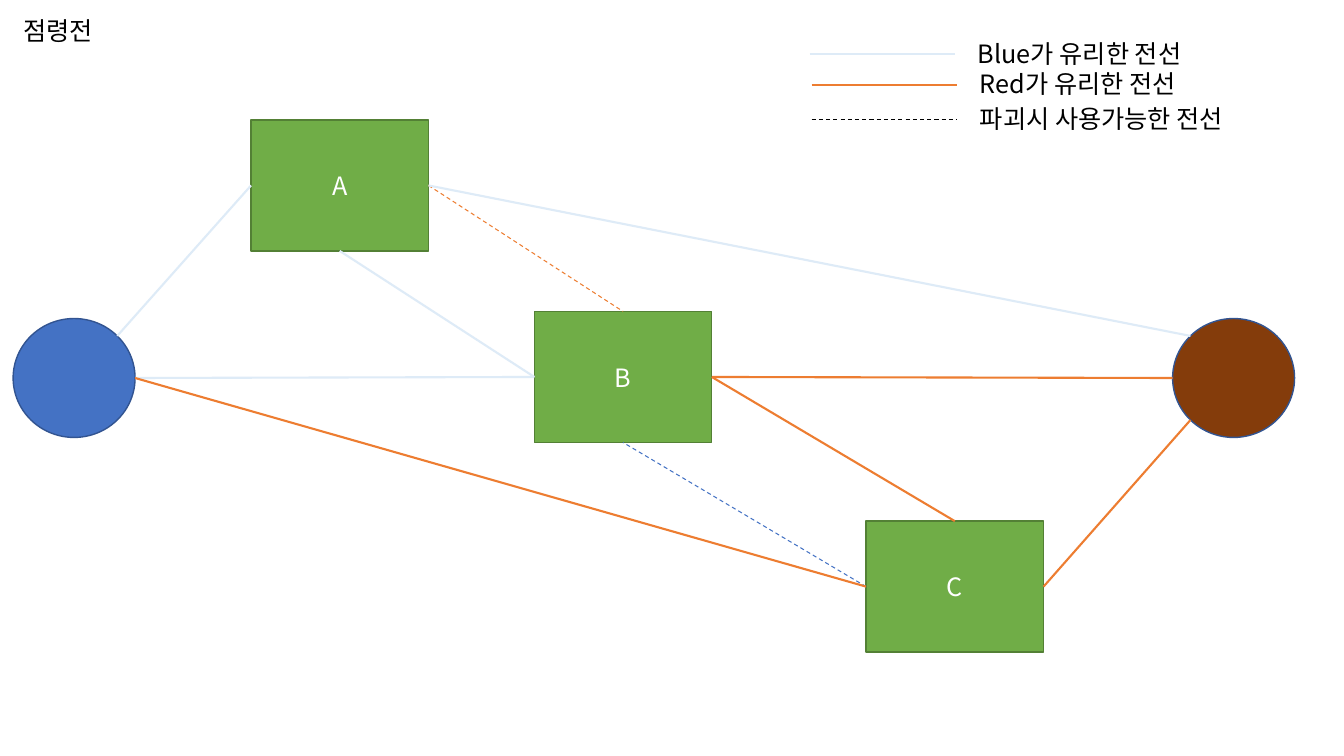
import math

import pptx
import pptx.dml.color
import pptx.enum.dml
import pptx.enum.shapes
import pptx.enum.text
import pptx.oxml
import pptx.oxml.ns
import pptx.util

Inches = pptx.util.Inches
RGBColor = pptx.dml.color.RGBColor
Shape = pptx.enum.shapes.MSO_SHAPE
Anchor = pptx.enum.text.MSO_ANCHOR
Align = pptx.enum.text.PP_ALIGN

BLUE = RGBColor(0x44, 0x72, 0xC4)
BLUE_EDGE = RGBColor(0x32, 0x54, 0x91)
BROWN = RGBColor(0x84, 0x3C, 0x0B)
GREEN = RGBColor(0x70, 0xAD, 0x47)
GREEN_EDGE = RGBColor(0x53, 0x80, 0x35)
PALE_BLUE = RGBColor(0xDE, 0xEB, 0xF7)
ORANGE = RGBColor(0xED, 0x7D, 0x31)
BLACK = RGBColor(0, 0, 0)
WHITE = RGBColor(0xFF, 0xFF, 0xFF)

FONT = "Noto Sans CJK KR"
BASE_SIZE = (1.21, 1.18)
POINT_SIZE = (1.76, 1.3)
DIAGONAL = math.sqrt(0.5) / 2

# Where a line meets a node, as fractions of its box
SIDES = {
    "top": (0.5, 0), "bottom": (0.5, 1), "left": (0, 0.5), "right": (1, 0.5),
    "upper right": (0.5 + DIAGONAL, 0.5 - DIAGONAL),
    "upper left": (0.5 - DIAGONAL, 0.5 - DIAGONAL),
    "lower left": (0.5 - DIAGONAL, 0.5 + DIAGONAL),
}

# Bases and capture points: preset, left, top, size, fill, edge
NODES = {
    "Blue": (Shape.OVAL, 0.13, 3.16, BASE_SIZE, BLUE, BLUE_EDGE),
    "Red": (Shape.OVAL, 11.63, 3.16, BASE_SIZE, BROWN, BLUE_EDGE),
    "A": (Shape.RECTANGLE, 2.49, 1.19, POINT_SIZE, GREEN, GREEN_EDGE),
    "B": (Shape.RECTANGLE, 5.3, 3.09, POINT_SIZE, GREEN, GREEN_EDGE),
    "C": (Shape.RECTANGLE, 8.59, 5.17, POINT_SIZE, GREEN, GREEN_EDGE),
}

# Front lines: start node and side, end node and side, colour, dashed
FRONTS = [
    ("Blue", "upper right", "A", "left", PALE_BLUE, False),
    ("Blue", "right", "B", "left", PALE_BLUE, False),
    ("A", "right", "B", "top", ORANGE, True),
    ("A", "right", "Red", "upper left", PALE_BLUE, False),
    ("C", "left", "B", "bottom", BLUE, True),
    ("Red", "left", "B", "right", ORANGE, False),
    ("Blue", "right", "C", "left", ORANGE, False),
    ("Red", "lower left", "C", "right", ORANGE, False),
    ("A", "bottom", "B", "left", PALE_BLUE, False),
    ("C", "top", "B", "right", ORANGE, False),
]

# Legend: left, top, wording, colour, dashed
LEGEND = [
    (8.03, 0.33, "Blue가 유리한 전선", PALE_BLUE, False),
    (8.05, 0.63, "Red가 유리한 전선", ORANGE, False),
    (8.05, 0.98, "파괴시 사용가능한 전선", BLACK, True),
]


def write(shape, text, color, align, anchor):
    frame = shape.text_frame
    frame.text = text
    frame_format = {
        "word_wrap": True,
        "auto_size": pptx.enum.text.MSO_AUTO_SIZE.NONE,
        "vertical_anchor": anchor,
        "margin_left": Inches(0.1), "margin_right": Inches(0.1),
        "margin_top": Inches(0.05), "margin_bottom": Inches(0.05),
    }
    for name, value in frame_format.items():
        setattr(frame, name, value)
    paragraph = frame.paragraphs[0]
    for name, value in {"alignment": align, "line_spacing": 1.0}.items():
        setattr(paragraph, name, value)
    font = paragraph.runs[0].font
    for name, value in {"name": FONT, "size": pptx.util.Pt(18), "bold": False}.items():
        setattr(font, name, value)
    font.color.rgb = color
    # Hangul takes the East Asian typeface
    east_asian = pptx.oxml.parse_xml(
        f'<a:ea {pptx.oxml.ns.nsdecls("a")} typeface="{FONT}"/>')
    font._element.find(pptx.oxml.ns.qn("a:latin")).addnext(east_asian)


def add_front(slide, start, end, color, dashed):
    front = slide.shapes.add_connector(
        pptx.enum.shapes.MSO_CONNECTOR.STRAIGHT,
        *(Inches(length) for length in (*start, *end)))
    front.line.color.rgb = color
    front.line.width = pptx.util.Pt(0.75 if dashed else 1.5)
    if dashed:
        front.line.dash_style = pptx.enum.dml.MSO_LINE.DASH
    front._element.spPr.append(
        pptx.oxml.parse_xml(f'<a:effectLst {pptx.oxml.ns.nsdecls("a")}/>'))


def add_title(slide, left, top, width, height):
    title = slide.shapes.title
    box = {"left": left, "top": top, "width": width, "height": height}
    for name, value in box.items():
        setattr(title, name, Inches(value))
    write(title, "점령전", BLACK, Align.LEFT, Anchor.TOP)


def add_node(slide, label, preset, left, top, size, fill, edge):
    node = slide.shapes.add_shape(
        preset, *(Inches(length) for length in (left, top, *size)))
    node.shadow.inherit = False
    node.fill.solid()
    node.fill.fore_color.rgb = fill
    node.line.color.rgb = edge
    node.line.width = pptx.util.Pt(1)
    if preset == Shape.RECTANGLE:
        write(node, label, WHITE, Align.CENTER, Anchor.MIDDLE)


def side_point(node, side):
    _, left, top, (width, height), _, _ = NODES[node]
    across, down = SIDES[side]
    return left + across * width, top + down * height


def add_map(slide):
    for label, node in NODES.items():
        add_node(slide, label, *node)
    for origin, origin_side, target, target_side, color, dashed in FRONTS:
        add_front(slide, side_point(origin, origin_side),
                  side_point(target, target_side), color, dashed)


def add_legend_entry(slide, left, top, wording, color, dashed):
    middle = top + 0.21
    add_front(slide, (left, middle), (left + 1.44, middle), color, dashed)
    caption = slide.shapes.add_textbox(
        Inches(left + 1.57), Inches(top), Inches(2.96), Inches(0.4))
    write(caption, wording, BLACK, Align.LEFT, Anchor.TOP)


def main():
    deck = pptx.Presentation()
    deck.slide_width, deck.slide_height = Inches(13.33), Inches(7.5)
    slide = deck.slides.add_slide(deck.slide_layouts.get_by_name("Title Only"))
    add_title(slide, 0.13, 0.1, 3.23, 0.4)
    add_map(slide)
    for entry in LEGEND:
        add_legend_entry(slide, *entry)
    deck.save("out.pptx")


if __name__ == "__main__":
    main()
